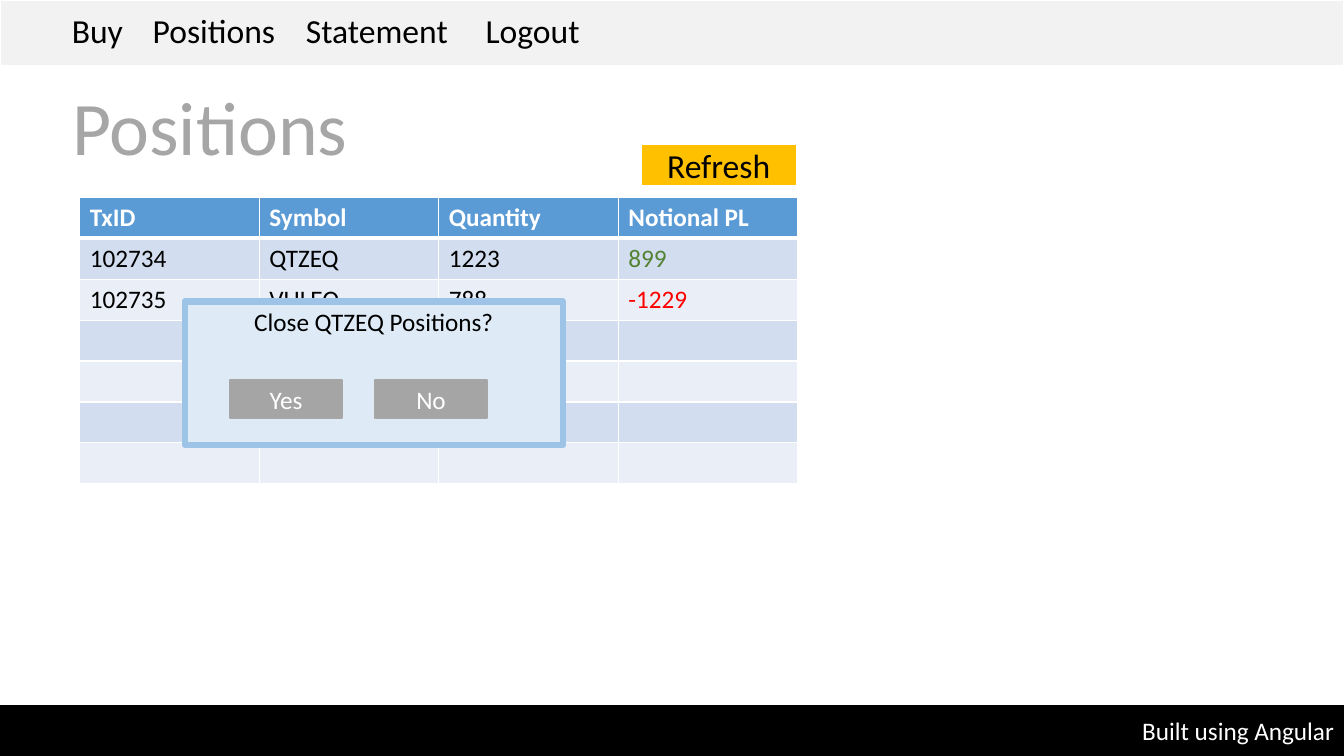
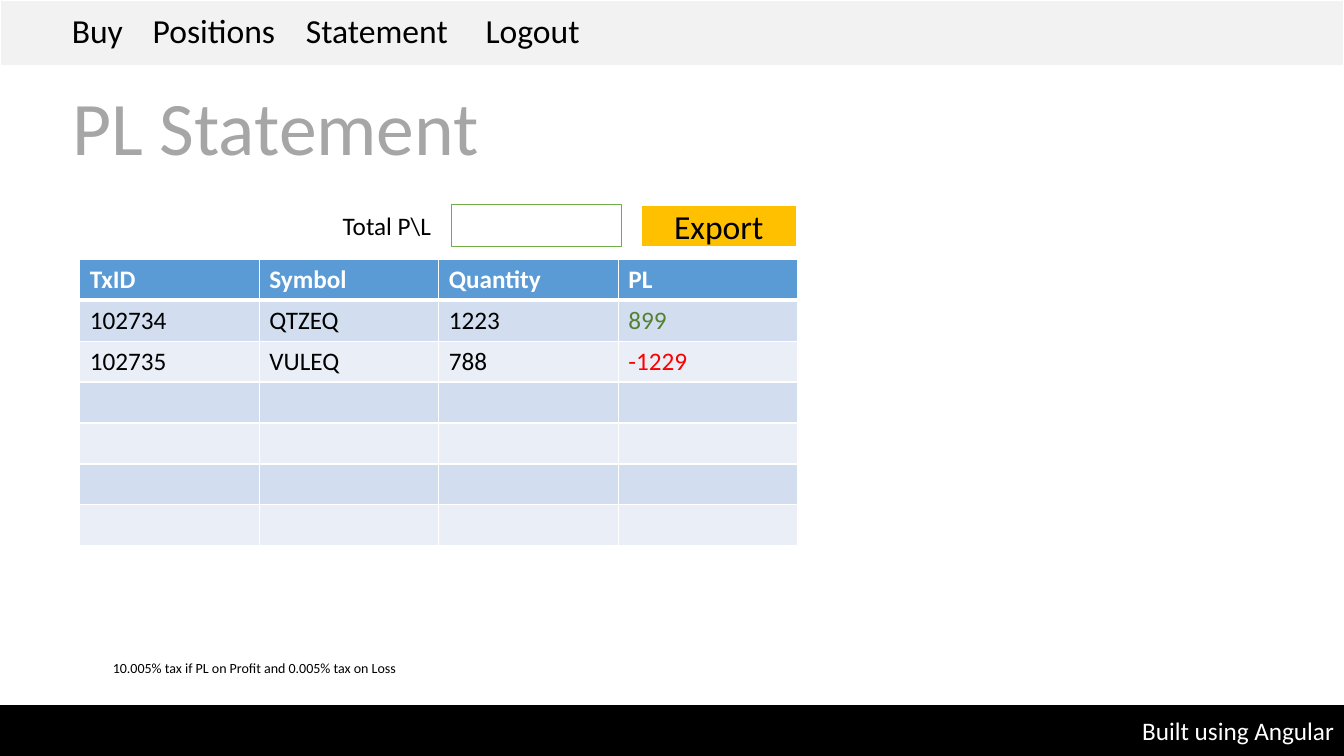
from lxml.etree import SubElement
from pptx import Presentation
from pptx.dml.color import RGBColor
from pptx.enum.shapes import MSO_SHAPE
from pptx.enum.text import MSO_ANCHOR, MSO_AUTO_SIZE, PP_ALIGN
from pptx.oxml.ns import qn
from pptx.util import Emu, Pt

COLORS = {
    "white": "FFFFFF", "black": "000000", "title": "A6A6A6",
    "nav": "F2F2F2", "header": "5B9BD5", "band_dark": "D2DEEF",
    "band_light": "EAEFF7", "profit": "548235", "loss": "FF0000",
    "action": "FFC000", "dialog": "DEEBF7", "dialog_edge": "9DC3E6",
    "button": "A5A5A5", "button_edge": "A6A6A6", "field_edge": "70AD47",
}
FONT = "Calibri"
EMU_PER_PX = 9525
WIDTH, HEIGHT = 1280, 720
TITLE_ONLY = 5
NAV_ITEMS = ["Buy", "Positions", "Statement", "Logout"]
NAV_TABS = [77, 223, 394]
POSITIONS = [
    ["102734", "QTZEQ", "1223", "899"],
    ["102735", "VULEQ", "788", "-1229"],
]
EMPTY_ROWS = 4


def px(length):
    return Emu(length * EMU_PER_PX)


def rgb(name):
    return RGBColor.from_string(COLORS[name])


class Mockup:
    """Holds the shared style and the page being drawn."""

    def __init__(self):
        self.deck = Presentation()
        self.deck.slide_width, self.deck.slide_height = px(WIDTH), px(HEIGHT)
        self.page = None

    def label(self, frame, text, size, color="black", align=PP_ALIGN.LEFT,
              bold=False):
        paragraph = frame.paragraphs[0]
        paragraph.text = text
        paragraph.alignment = align
        font = paragraph.font
        font.name, font.size, font.bold = FONT, Pt(size), bold
        font.color.rgb = rgb(color)
        return paragraph

    def new_page(self, title, title_width):
        self.page = self.deck.slides.add_slide(self.deck.slide_layouts[TITLE_ONLY])
        heading = self.page.shapes.title
        heading.left, heading.top = px(59), px(71)
        heading.width, heading.height = px(title_width), px(97)
        frame = heading.text_frame
        frame.word_wrap = False
        frame.auto_size = MSO_AUTO_SIZE.NONE
        frame.vertical_anchor = MSO_ANCHOR.TOP
        self.label(frame, title, 54, "title")

    def text(self, text, left, top, width, height, size, shapes=None):
        shapes = self.page.shapes if shapes is None else shapes
        box = shapes.add_textbox(px(left), px(top), px(width), px(height))
        box.text_frame.word_wrap = False
        return self.label(box.text_frame, text, size)

    def rectangle(self, left, top, width, height, fill, edge, edge_width=1.5,
                  shapes=None):
        shapes = self.page.shapes if shapes is None else shapes
        box = shapes.add_shape(MSO_SHAPE.RECTANGLE, px(left), px(top),
                               px(width), px(height))
        box.shadow.inherit = False
        box.fill.solid()
        box.fill.fore_color.rgb = rgb(fill)
        box.line.color.rgb = rgb(edge)
        box.line.width = Pt(edge_width)
        box.text_frame.vertical_anchor = MSO_ANCHOR.MIDDLE
        return box

    def action(self, caption, top):
        box = self.rectangle(610, top, 149, 40, "action", "white")
        self.label(box.text_frame, caption, 24, align=PP_ALIGN.CENTER)

    def dialog(self, question, answers):
        box = self.rectangle(176, 287, 360, 137, "dialog", "dialog_edge", 4.5)
        box.text_frame.vertical_anchor = MSO_ANCHOR.TOP
        self.label(box.text_frame, question, 18, align=PP_ALIGN.CENTER)
        for index, answer in enumerate(answers):
            button = self.rectangle(219 + 138 * index, 362, 107, 36,
                                    "button", "button_edge")
            self.label(button.text_frame, answer, 18, "white", PP_ALIGN.CENTER)

    def borders(self, cell, row):
        properties = cell._tc.get_or_add_tcPr()
        thick_side = {0: "lnB", 1: "lnT"}.get(row)
        for side in ("lnL", "lnR", "lnT", "lnB"):
            width = Pt(3 if side == thick_side else 1)
            line = SubElement(properties, qn(f"a:{side}"), w=str(width))
            fill = SubElement(line, qn("a:solidFill"))
            SubElement(fill, qn("a:srgbClr"), val=COLORS["white"])

    def table(self, top, last_header):
        header = ["TxID", "Symbol", "Quantity", last_header]
        rows = [header, *POSITIONS, *[[""] * len(header)] * EMPTY_ROWS]
        column_width, row_height = 171, 39
        grid = self.page.shapes.add_table(
            len(rows), len(header), px(76), px(top),
            px(column_width * len(header)), px(row_height * len(rows))).table
        for row, values in enumerate(rows):
            band = "band_dark" if row % 2 else "band_light"
            for column, value in enumerate(values):
                cell = grid.cell(row, column)
                self.borders(cell, row)
                cell.fill.solid()
                cell.fill.fore_color.rgb = rgb(band if row else "header")
                color = "black" if row else "white"
                if row and value and column == len(header) - 1:
                    color = "loss" if int(value) < 0 else "profit"
                self.label(cell.text_frame, value, 18, color, bold=row == 0)

    def footer(self):
        band = self.rectangle(0, 672, WIDTH, 48, "black", "black", 1)
        self.label(band.text_frame, "Built using Angular", 18, "white",
                   PP_ALIGN.RIGHT)

    def navigation(self):
        menu = self.page.shapes.add_group_shape().shapes
        self.rectangle(0, 0, WIDTH, 63, "nav", "white", shapes=menu)
        paragraph = self.text("\t".join(NAV_ITEMS), 59, 5, 507, 48, 24, menu)
        # Tab stops precede the default run properties
        properties = paragraph._p.get_or_add_pPr()
        stops = SubElement(properties, qn("a:tabLst"))
        properties.insert(0, stops)
        for position in NAV_TABS:
            SubElement(stops, qn("a:tab"), pos=str(px(position)), algn="l")


def main():
    mockup = Mockup()

    # Open positions with the closing dialog
    mockup.new_page("Positions", 285)
    mockup.table(188, "Notional PL")
    mockup.footer()
    mockup.action("Refresh", 137)
    mockup.dialog(f"Close {POSITIONS[0][1]} Positions?", ["Yes", "No"])
    mockup.navigation()

    # Profit and loss statement
    mockup.new_page("PL Statement", 411)
    mockup.table(247, "PL")
    mockup.footer()
    mockup.action("Export", 195)
    mockup.text("10.005% tax if PL on Profit and 0.005% tax on Loss",
                98, 623, 294, 26, 10)
    mockup.rectangle(430, 195, 162, 40, "white", "field_edge", 1)
    mockup.text(r"Total P\L", 317, 196, 105, 38, 18)
    mockup.navigation()

    mockup.deck.save("out.pptx")


if __name__ == "__main__":
    main()
